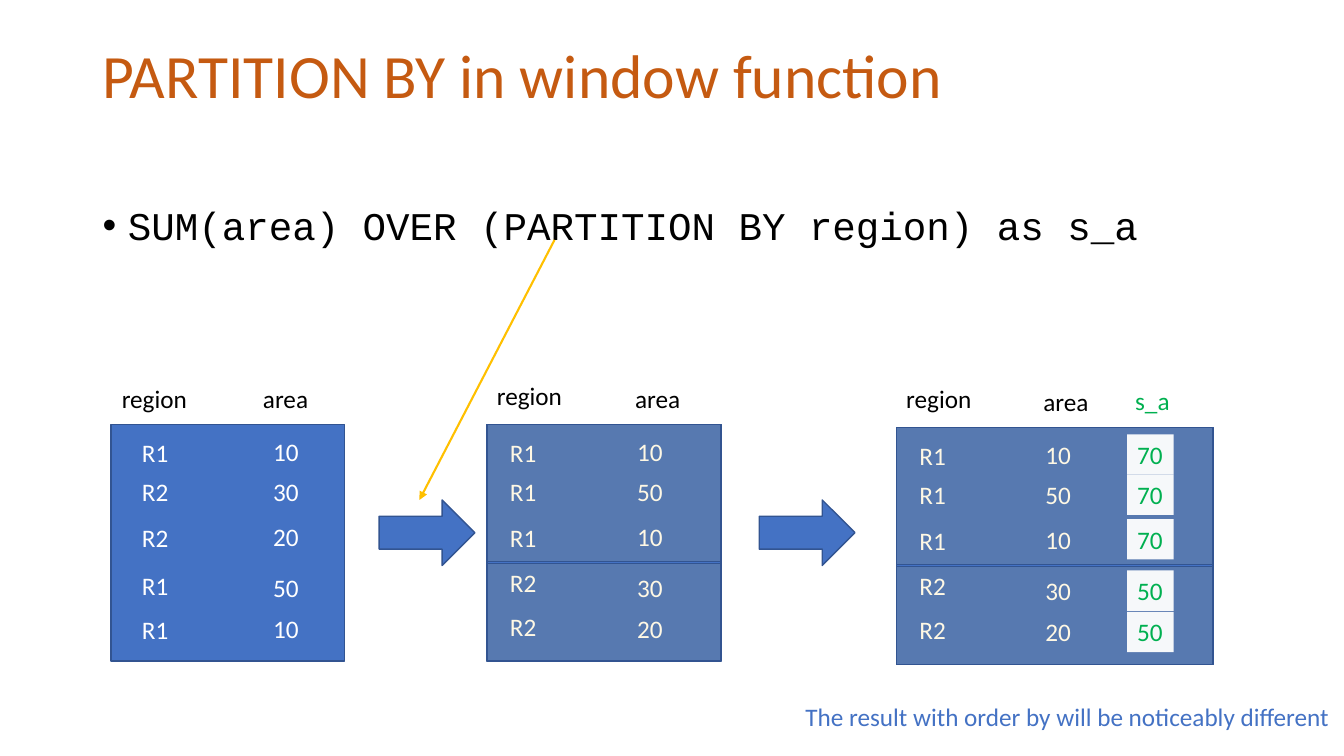
from lxml import etree
from pptx import Presentation
from pptx.dml.color import RGBColor
from pptx.enum.shapes import MSO_CONNECTOR, MSO_SHAPE as SHAPE
from pptx.enum.text import MSO_AUTO_SIZE as AUTO
from pptx.oxml.ns import qn
from pptx.util import Inches, Pt

COLORS = {
    "title": "C55A11", "black": "000000", "white": "FFFFFF", "blue": "4472C4",
    "outline": "325491", "gold": "FFC000", "green": "00B050",
}
rgb = {name: RGBColor.from_string(value) for name, value in COLORS.items()}

prs = Presentation()
prs.slide_width, prs.slide_height = Inches(13.33), Inches(7.5)
s = prs.slides.add_slide(prs.slide_layouts[6])


def add_text(text, x, y, w, h=0.4, color="black", size=18, font="Calibri", wrap=False):
    sp = s.shapes.add_textbox(Inches(x), Inches(y), Inches(w), Inches(h))
    tf = sp.text_frame
    tf.word_wrap = wrap
    tf.auto_size = AUTO.NONE if wrap else AUTO.SHAPE_TO_FIT_TEXT
    tf.text = text
    f = tf.paragraphs[0].runs[0].font
    f.name, f.size, f.color.rgb = font, Pt(size), rgb[color]
    return sp


def add_block(kind, x, y, w, h, fill="blue", opacity=100, outlined=True):
    sp = s.shapes.add_shape(kind, Inches(x), Inches(y), Inches(w), Inches(h))
    sp.shadow.inherit = False
    sp.fill.solid()
    sp.fill.fore_color.rgb = rgb[fill]
    if opacity < 100:
        clr = sp.fill._xPr.find(qn("a:solidFill"))[0]
        etree.SubElement(clr, qn("a:alpha"), val=str(opacity * 1000))
    if outlined:
        sp.line.color.rgb = rgb["outline"]
        sp.line.width = Pt(1)
    else:
        sp.line.fill.background()


# Title and the SQL expression
title = add_text("PARTITION BY in window function", 0.92, 0.4, 11.5, 1.45,
                 color="title", size=44, wrap=True)
title.text_frame.paragraphs[0].line_spacing = 0.9
sql = add_text("SUM(area) OVER (PARTITION BY region) as s_a", 0.92, 2, 11.5, 0.62,
               size=28, font="Courier New", wrap=True)
p = sql.text_frame.paragraphs[0]
p.line_spacing, p.space_before = 0.9, Pt(10)
pPr = p._p.get_or_add_pPr()
pPr.set("marL", str(Inches(0.25)))
pPr.set("indent", str(Inches(-0.25)))
etree.SubElement(pPr, qn("a:buFont"), typeface="Arial")
etree.SubElement(pPr, qn("a:buChar"), char="•")

# Row positions below the top of a table
SOURCE_ROWS = [0.08, 0.47, 0.92, 1.4, 1.84]
REGION_ROWS = [0.08, 0.47, 0.92, 1.37, 1.81]
AREA_ROWS = [0.07, 0.47, 0.91, 1.42, 1.83]
SORTED_REGIONS = ["R1", "R1", "R1", "R2", "R2"]
SORTED_AREAS = ["10", "50", "10", "30", "20"]

# Table: left, top, width, partitioned, columns
# Column: heading, its left, top and width, cell left and width, rows, values
tables = [
    (1.1, 4.21, 2.32, False, [
        ("region", 1.11, 3.75, 0.86, 1.31, 0.47, SOURCE_ROWS, ["R1", "R2", "R2", "R1", "R1"]),
        ("area", 2.51, 3.75, 0.65, 2.61, 0.46, AREA_ROWS, ["10", "30", "20", "50", "10"]),
    ]),
    (4.83, 4.21, 2.32, True, [
        ("region", 4.83, 3.72, 0.86, 4.96, 0.47, REGION_ROWS, SORTED_REGIONS),
        ("area", 6.2, 3.75, 0.65, 6.22, 0.46, AREA_ROWS, SORTED_AREAS),
    ]),
    (8.89, 4.24, 3.14, True, [
        ("region", 8.89, 3.75, 0.86, 9.02, 0.47, REGION_ROWS, SORTED_REGIONS),
        ("area", 10.25, 3.78, 0.65, 10.27, 0.46, AREA_ROWS, SORTED_AREAS),
    ]),
]
for left, top, width, partitioned, columns in tables:
    add_block(SHAPE.RECTANGLE, left, top, width, 2.35)
    for heading, hx, hy, hw, cx, cw, rows, values in columns:
        add_text(heading, hx, hy, hw)
        for row, value in zip(rows, values):
            add_text(value, cx, top + row, cw, color="white")
    if partitioned:
        for offset, height in [(0, 1.36), (1.38, 0.97)]:
            add_block(SHAPE.RECTANGLE, left, top + offset, width, height, "gold", 10)

# Window sums beside the last table
add_text("s_a", 11.16, 3.77, 0.55, color="green")
for row, total in zip(AREA_ROWS, ["70", "70", "70", "50", "50"]):
    add_block(SHAPE.RECTANGLE, 11.18, 4.24 + row, 0.46, 0.4, "white", 95, outlined=False)
    add_text(total, 11.18, 4.24 + row, 0.46, color="green")

# Steps between the tables
for x in (3.76, 7.53):
    add_block(SHAPE.RIGHT_ARROW, x, 4.96, 0.95, 0.65)

pointer = s.shapes.add_connector(MSO_CONNECTOR.STRAIGHT, Inches(5.5), Inches(2.38),
                                 Inches(4.16), Inches(4.96))
pointer.line.color.rgb = rgb["gold"]
pointer.line.width = Pt(1.5)
etree.SubElement(pointer.line._get_or_add_ln(), qn("a:tailEnd"), type="triangle")
etree.SubElement(pointer._element.spPr, qn("a:effectLst"))

add_text("The result with order by will be noticeably different", 7.89, 6.91, 5.47, color="blue")

prs.save("out.pptx")
